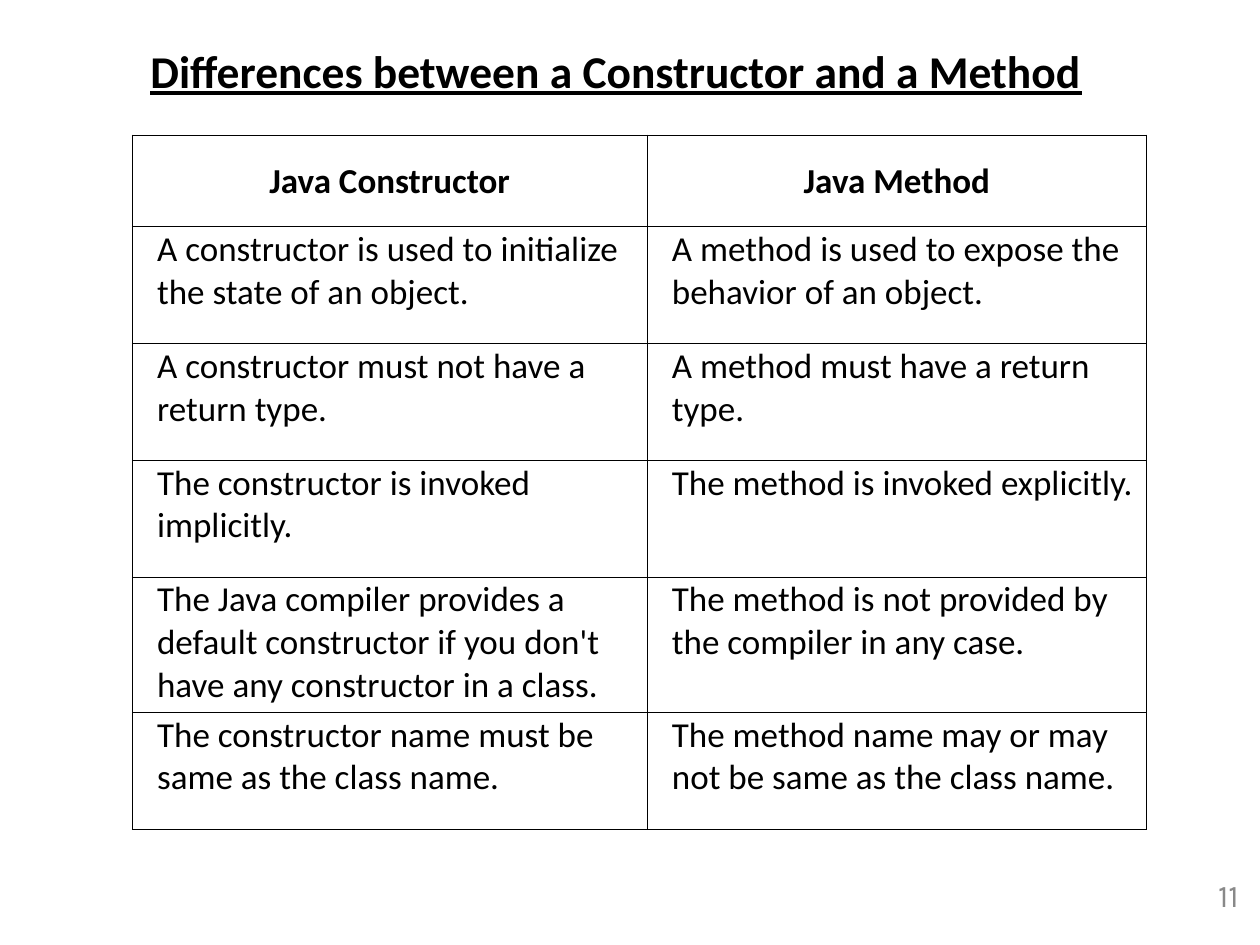
from lxml import etree
from pptx import Presentation
from pptx.dml.color import RGBColor
from pptx.enum import text as t
from pptx.oxml import ns
from pptx.util import Pt

BLACK, GREY = "000000", "898989"


def write(frame, words, color, align, **font):
    paragraph = frame.paragraphs[0]
    paragraph.alignment = align
    run = paragraph.add_run()
    run.text = words
    run.font.color.rgb = RGBColor.from_string(color)
    for key, value in font.items():
        setattr(run.font, key, value)
    return paragraph


def add_borders(cell, color, width):
    props = cell._tc.get_or_add_tcPr()
    for place, side in enumerate(("lnL", "lnR", "lnT", "lnB")):
        line = etree.Element(ns.qn("a:" + side), w=str(width))
        fill = etree.SubElement(line, ns.qn("a:solidFill"))
        etree.SubElement(fill, ns.qn("a:srgbClr"), val=color)
        props.insert(place, line)


prs = Presentation()
prs.slide_width, prs.slide_height = Pt(720), Pt(540)
slide = prs.slides.add_slide(prs.slide_layouts[6])

# Slide number
number = slide.shapes.add_textbox(Pt(685.5), Pt(497), Pt(29.5), Pt(29)).text_frame
number.word_wrap = True
number.vertical_anchor = t.MSO_ANCHOR.MIDDLE
write(number, "11", GREY, t.PP_ALIGN.RIGHT, name="Karla", size=Pt(18))

# Comparison table
comparison = [
    ("Java Constructor", "Java Method"),
    ("A constructor is used to initialize the state of an object.",
     "A method is used to expose the behavior of an object."),
    ("A constructor must not have a return type.",
     "A method must have a return type."),
    ("The constructor is invoked implicitly.",
     "The method is invoked explicitly."),
    ("The Java compiler provides a default constructor if you don't have any constructor in a class.",
     "The method is not provided by the compiler in any case."),
    ("The constructor name must be same as the class name.",
     "The method name may or may not be same as the class name."),
]
widths = [294.2, 285.4]
heights = [52.4, 66.8, 66.8, 66.8, 77.2, 66.8]
cell_format = {"margin_left": Pt(0.7), "margin_right": Pt(0.7),
               "margin_top": Pt(0.7), "margin_bottom": 0}

table = slide.shapes.add_table(len(heights), len(widths), Pt(75.6), Pt(77.2),
                               Pt(sum(widths)), Pt(sum(heights))).table
table.horz_banding = False
for column, width in zip(table.columns, widths):
    column.width = Pt(width)

for r, (row, height) in enumerate(zip(table.rows, heights)):
    row.height = Pt(height)
    header = r == 0
    for cell, words in zip(row.cells, comparison[r]):
        for key, value in cell_format.items():
            setattr(cell, key, value)
        cell.vertical_anchor = t.MSO_ANCHOR.MIDDLE if header else t.MSO_ANCHOR.TOP
        cell.fill.background()
        add_borders(cell, BLACK, Pt(0.5))
        align = t.PP_ALIGN.CENTER if header else t.PP_ALIGN.LEFT
        paragraph = write(cell.text_frame, words, BLACK, align,
                          name="Calibri", size=Pt(20), bold=header)
        if not header:
            paragraph._p.get_or_add_pPr().set("marL", str(Pt(13.5)))

# Title
title = slide.shapes.add_textbox(Pt(75.6), Pt(20.9), Pt(553), Pt(38.9)).text_frame
title.word_wrap = False
title.auto_size = t.MSO_AUTO_SIZE.SHAPE_TO_FIT_TEXT
write(title, "Differences between a Constructor and a Method", BLACK, t.PP_ALIGN.CENTER,
      name="Calibri", size=Pt(26), bold=True, underline=True)

prs.save("out.pptx")
